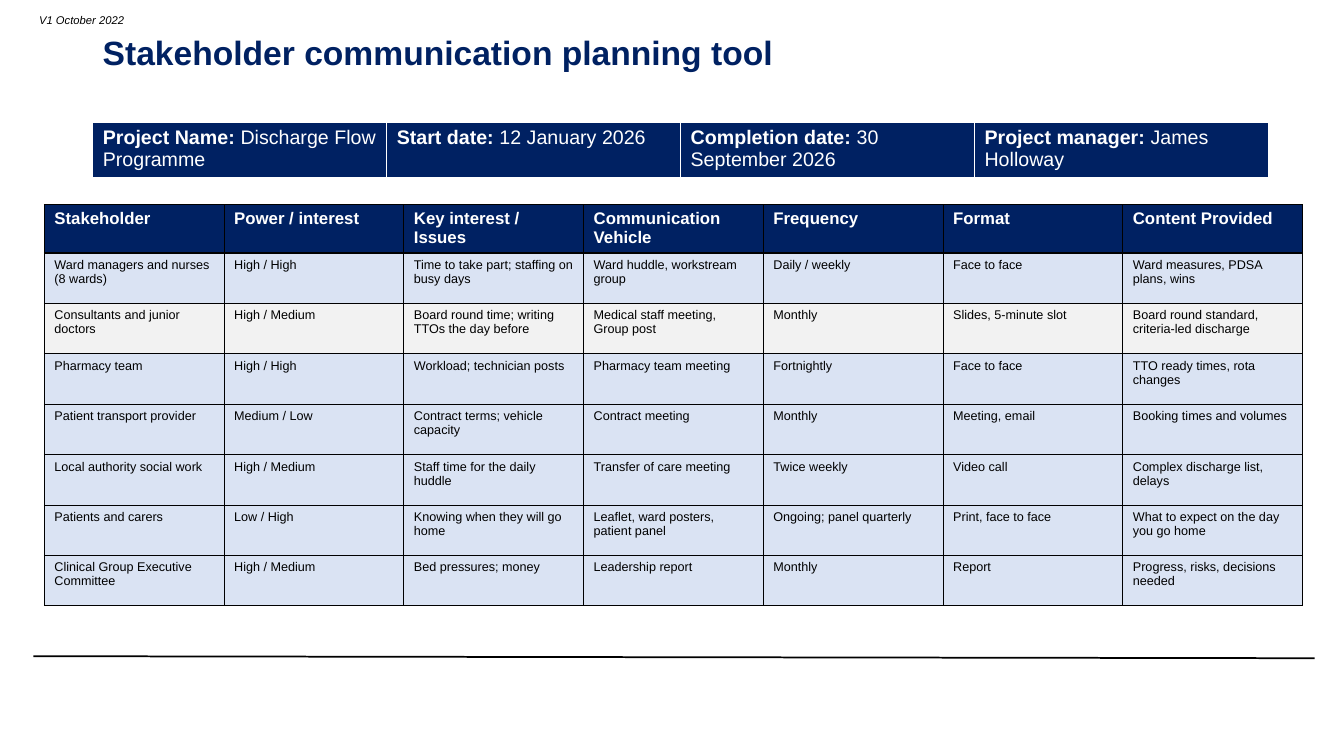
from lxml import etree
from pptx import Presentation
from pptx.dml.color import RGBColor
from pptx.enum.shapes import MSO_CONNECTOR as Connector
from pptx.enum.text import MSO_ANCHOR as Anchor
from pptx.oxml.ns import qn
from pptx.util import Pt

PX = 9144  # EMU per px, 100 px to the inch
COLORS = {"navy": "002162", "pale_blue": "DAE3F3", "grey": "F2F2F2",
          "black": "000000", "white": "FFFFFF"}


def add_run(paragraph, text, size, color, bold=False, italic=False):
    run = paragraph.add_run()
    run.text = text
    run.font.name = "Arial"
    run.font.size = Pt(size)
    run.font.bold = bold
    run.font.italic = italic
    run.font.color.rgb = RGBColor.from_string(COLORS[color])


def style_cell(cell, fill, line_color, left, right, top, bottom):
    props = cell._tc.get_or_add_tcPr()
    for side, width in zip("LRTB", (left, right, top, bottom)):
        line = etree.SubElement(props, qn(f"a:ln{side}"), w=str(Pt(width)))
        solid = etree.SubElement(line, qn("a:solidFill"))
        etree.SubElement(solid, qn("a:srgbClr"), val=COLORS[line_color])
    cell.fill.solid()
    cell.fill.fore_color.rgb = RGBColor.from_string(COLORS[fill])


prs = Presentation()
prs.slide_width, prs.slide_height = 1333 * PX, 750 * PX
slide = prs.slides.add_slide(prs.slide_layouts[6])
shapes = slide.shapes

# Footer rule
footer_rule = shapes.add_connector(
    Connector.STRAIGHT, 33 * PX, 651 * PX, 1304 * PX, 653 * PX)
footer_rule.line.color.rgb = RGBColor.from_string(COLORS["black"])
footer_rule.line.width = Pt(1.25)
etree.SubElement(footer_rule._element.spPr, qn("a:effectLst"))

# Stakeholder plan
plan_rows = [
    ["Stakeholder", "Power / interest", "Key interest / Issues",
     "Communication  Vehicle", "Frequency", "Format", "Content Provided"],
    ["Ward managers and nurses (8 wards)", "High / High",
     "Time to take part; staffing on busy days", "Ward huddle, workstream group",
     "Daily / weekly", "Face to face", "Ward measures, PDSA plans, wins"],
    ["Consultants and junior doctors", "High / Medium",
     "Board round time; writing TTOs the day before",
     "Medical staff meeting, Group post", "Monthly", "Slides, 5-minute slot",
     "Board round standard, criteria-led discharge"],
    ["Pharmacy team", "High / High", "Workload; technician posts",
     "Pharmacy team meeting", "Fortnightly", "Face to face",
     "TTO ready times, rota changes"],
    ["Patient transport provider", "Medium / Low",
     "Contract terms; vehicle capacity", "Contract meeting", "Monthly",
     "Meeting, email", "Booking times and volumes"],
    ["Local authority social work", "High / Medium",
     "Staff time for the daily huddle", "Transfer of care meeting",
     "Twice weekly", "Video call", "Complex discharge list, delays"],
    ["Patients and carers", "Low / High", "Knowing when they will go home",
     "Leaflet, ward posters, patient panel", "Ongoing; panel quarterly",
     "Print, face to face", "What to expect on the day you go home"],
    ["Clinical Group Executive Committee", "High / Medium",
     "Bed pressures; money", "Leadership report", "Monthly", "Report",
     "Progress, risks, decisions needed"],
]
THIN, THICK = 0.73, 2.2
plan = shapes.add_table(len(plan_rows), len(plan_rows[0]),
                        44 * PX, 203 * PX, 1248 * PX, 398 * PX).table
plan.horz_banding = False
for r, texts in enumerate(plan_rows):
    header = r == 0
    plan.rows[r].height = (48 if header else 50) * PX
    fill = {0: "navy", 2: "grey"}.get(r, "pale_blue")
    for c, text in enumerate(texts):
        cell = plan.cell(r, c)
        style_cell(cell, fill, "black", THIN, THIN,
                   THICK if r == 1 else THIN, THICK if header else THIN)
        add_run(cell.text_frame.paragraphs[0], text, 12 if header else 9,
                "white" if header else "black", bold=header)

# Title
title = shapes.add_textbox(92 * PX, 31 * PX, 958 * PX, 67 * PX).text_frame
title.word_wrap = True
title.vertical_anchor = Anchor.TOP
title.paragraphs[0].line_spacing = 0.9
add_run(title.paragraphs[0], "Stakeholder communication planning tool",
        24, "navy", bold=True)

# Project details
details = [("Project Name: ", "Discharge Flow Programme"),
           ("Start date: ", "12 January 2026"),
           ("Completion date: ", "30 September 2026"),
           ("Project manager: ", "James Holloway")]
project = shapes.add_table(1, len(details), 92 * PX, 121 * PX,
                           1166 * PX, 50 * PX).table
project.horz_banding = False
for cell, (label, value) in zip(project.rows[0].cells, details):
    style_cell(cell, "navy", "white", 1, 1, 1, 3)
    paragraph = cell.text_frame.paragraphs[0]
    add_run(paragraph, label, 14, "white", bold=True)
    add_run(paragraph, value, 14, "white")

# Version mark
version = shapes.add_textbox(29 * PX, 8 * PX, 106 * PX, 24 * PX).text_frame
version.word_wrap = False
add_run(version.paragraphs[0], "V1 October 2022", 8, "black", italic=True)

prs.save("out.pptx")
